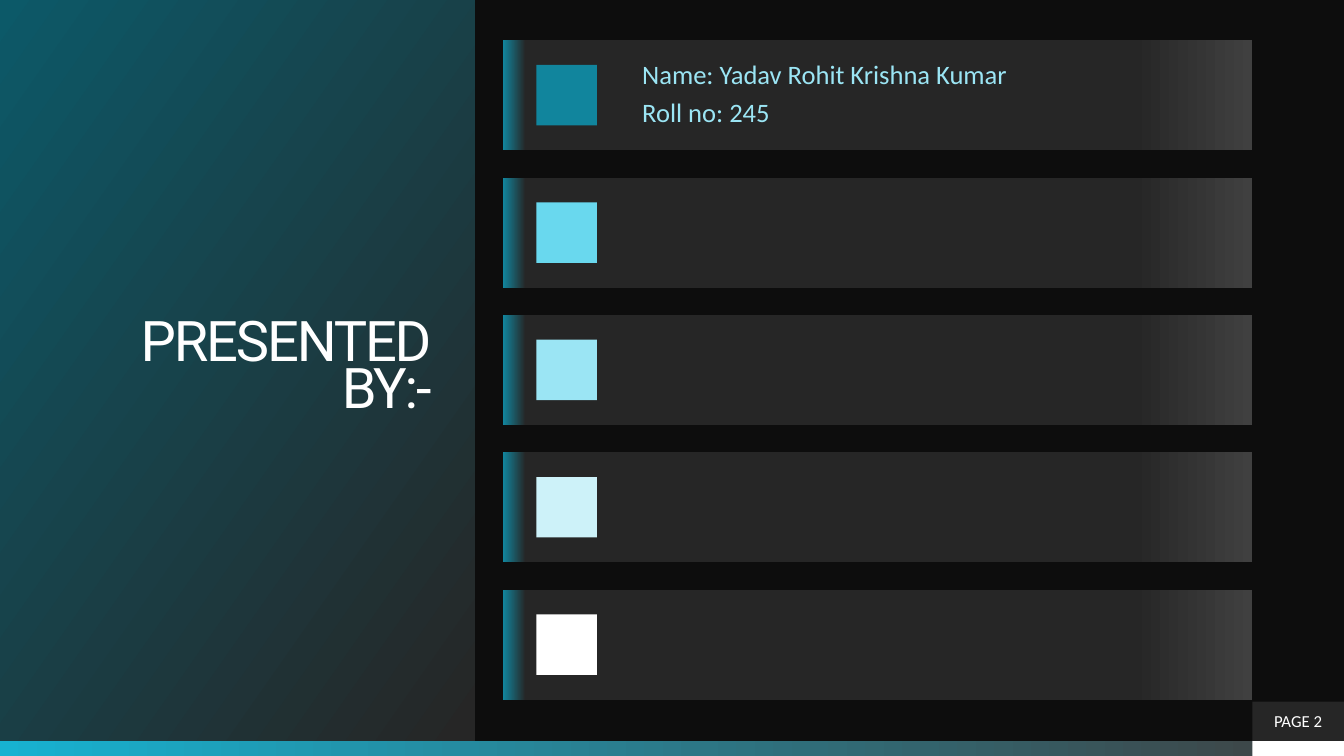
"""Build the "Presented by" slide with five presenter rows."""
from dataclasses import dataclass

import lxml.etree
import pptx
import pptx.dml.color
import pptx.enum.shapes
import pptx.enum.text
import pptx.oxml.ns
import pptx.util

Inches = pptx.util.Inches
Pt = pptx.util.Pt
RGB = pptx.dml.color.RGBColor.from_string
Align = pptx.enum.text.PP_ALIGN

COLORS = {
    "night": "0D0D0D", "panel": "262626", "gray": "404040", "white": "FFFFFF",
    "bright": "17B2D1", "deep": "0C5968", "teal": "11859D",
    "sky": "69D8EE", "light": "9BE5F4", "pale": "CDF2F9",
}
ROW_TOP, ROW_PITCH, ROW_H = 0.4, 5.45 / 4, 1.09
ROW_LEFT, ROW_W = 4.99, 7.43
ICON_LEFT, ICON = 5.32, 0.6
ROW_STOPS = [(0, "gray"), (16, "panel"), (97, "panel"), (100, "teal")]


@dataclass
class Presenter:
    color: str
    lines: tuple[str, ...] = ()


PRESENTERS = [
    Presenter("teal", ("Name: Yadav Rohit Krishna Kumar", "Roll no: 245")),
    Presenter("sky"),
    Presenter("light"),
    Presenter("pale"),
    Presenter("white"),
]


def set_attrs(target: object, values: dict) -> None:
    for name, value in values.items():
        setattr(target, name, value)


def fill_gradient(sp, stops: list[tuple[int, str]], angle: float) -> None:
    sp.fill.gradient()
    sp.fill.gradient_angle = angle
    qn = pptx.oxml.ns.qn
    gs_list = next(sp._element.iter(qn("a:gsLst")))
    for gs in list(gs_list):
        gs_list.remove(gs)
    for pos, color in stops:
        gs = lxml.etree.SubElement(gs_list, qn("a:gs"), pos=str(pos * 1000))
        lxml.etree.SubElement(gs, qn("a:srgbClr"), val=COLORS[color])


def add_rect(shapes, left: float, top: float, width: float, height: float,
             color: str = ""):
    sp = shapes.add_shape(pptx.enum.shapes.MSO_SHAPE.RECTANGLE,
                          *map(Inches, (left, top, width, height)))
    sp.shadow.inherit = False
    sp.line.fill.background()
    if color:
        sp.fill.solid()
        sp.fill.fore_color.rgb = RGB(COLORS[color])
    return sp


def write_text(sp, lines: tuple[str, ...], font: str, size: float, color: str,
               inset: tuple[float, float], para: dict, spacing: int = 0) -> None:
    tf = sp.text_frame
    side, edge = map(Inches, inset)
    set_attrs(tf, {
        "word_wrap": True, "auto_size": pptx.enum.text.MSO_AUTO_SIZE.NONE,
        "vertical_anchor": pptx.enum.text.MSO_ANCHOR.MIDDLE,
        "margin_left": side, "margin_right": side,
        "margin_top": edge, "margin_bottom": edge,
    })
    tf.text = "\n".join(lines)
    for p in tf.paragraphs:
        set_attrs(p, para)
        for r in p.runs:
            set_attrs(r.font, {"name": font, "size": Pt(size), "bold": False})
            r.font.color.rgb = RGB(COLORS[color])
            if spacing:
                r._r.get_or_add_rPr().set("spc", str(spacing))


def add_title(s) -> None:
    sp = s.shapes.title
    set_attrs(sp, {"left": 0, "top": 0,
                   "width": Inches(4.71), "height": Inches(7.35)})
    fill_gradient(sp, [(0, "deep"), (99, "panel")], 325)
    write_text(sp, ("PRESENTED\vBY:-",), "Roboto", 40, "white", (0.43, 0),
               {"alignment": Align.RIGHT, "line_spacing": 0.7}, -150)


def add_row(shapes, index: int, presenter: Presenter) -> None:
    top = ROW_TOP + index * ROW_PITCH
    bar = add_rect(shapes, ROW_LEFT, top, ROW_W, ROW_H)
    fill_gradient(bar, ROW_STOPS, 180)
    add_rect(shapes, ICON_LEFT, top + (ROW_H - ICON) / 2, ICON, ICON,
             presenter.color)
    if presenter.lines:
        box = shapes.add_textbox(*map(Inches, (6.25, top, 6.17, ROW_H)))
        write_text(box, presenter.lines, "Calibri", 19, "light", (0.12, 0.12),
                   {"line_spacing": 0.9, "space_after": Pt(6.65)})


def main() -> None:
    prs = pptx.Presentation()
    set_attrs(prs, {"slide_width": Inches(13.33), "slide_height": Inches(7.5)})
    s = prs.slides.add_slide(prs.slide_layouts[5])
    s.background.fill.solid()
    s.background.fill.fore_color.rgb = RGB(COLORS["night"])

    strip = add_rect(s.shapes, 0, 7.35, 13.33, 0.15)
    fill_gradient(strip, [(0, "bright"), (100, "gray")], 0)
    add_rect(s.shapes, 12.42, 7.35, 0.91, 0.15, "white")
    add_title(s)

    rows = s.shapes.add_group_shape()
    for index, presenter in enumerate(PRESENTERS):
        add_row(rows.shapes, index, presenter)

    page = add_rect(s.shapes, 12.42, 6.96, 0.91, 0.39, "panel")
    write_text(page, ("PAGE 2",), "Calibri", 12, "white", (0.1, 0.05),
               {"alignment": Align.CENTER})
    prs.save("out.pptx")


if __name__ == "__main__":
    main()
